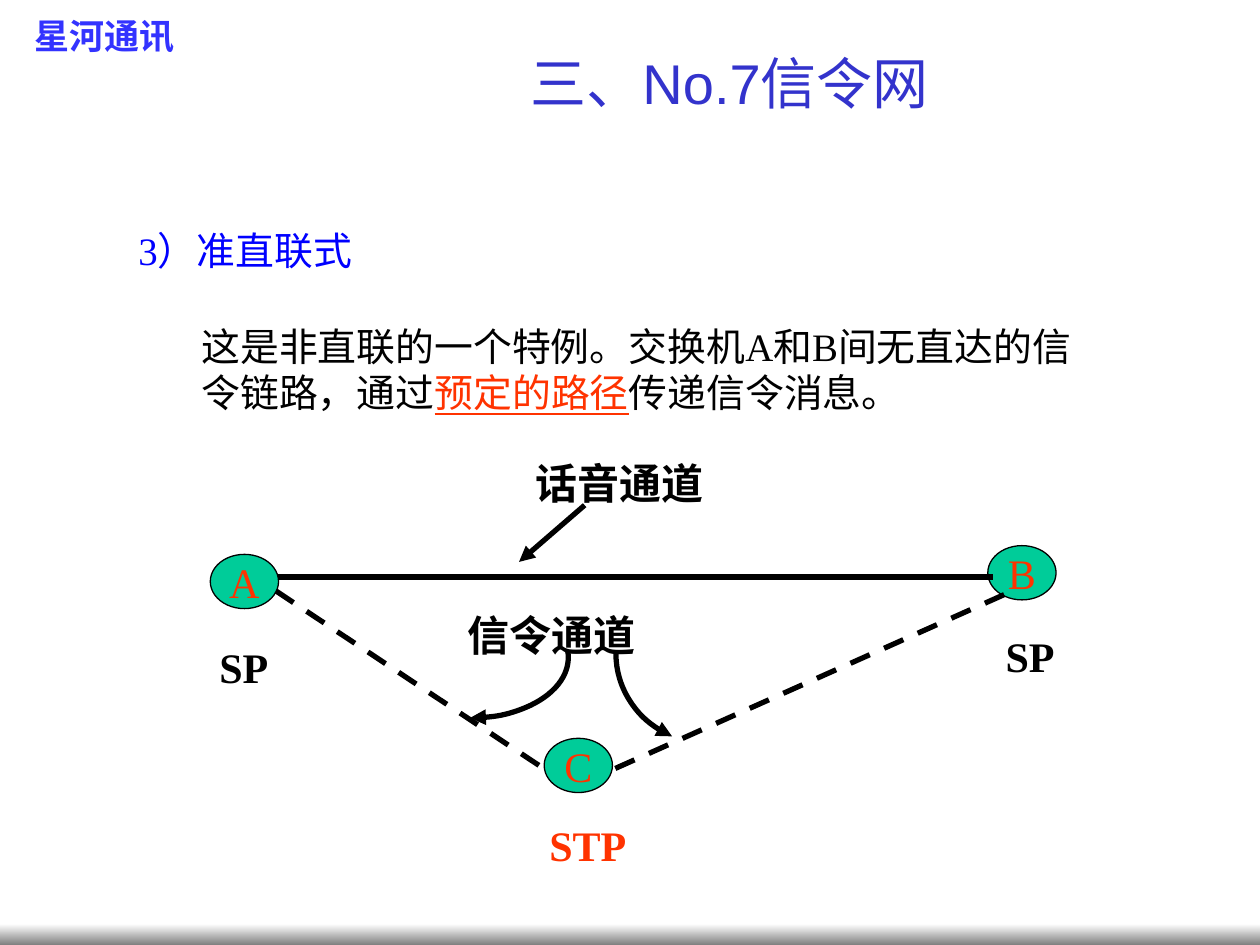
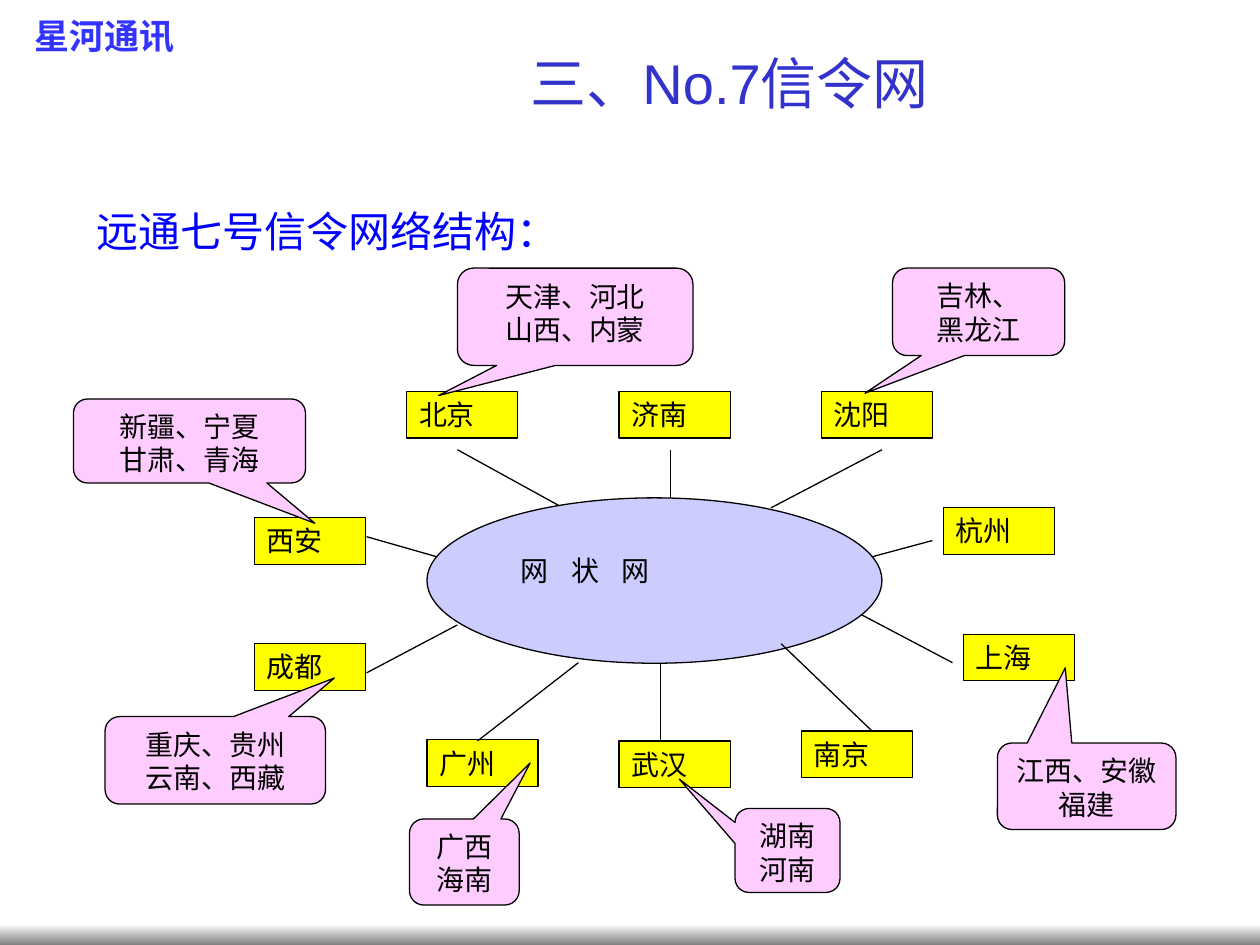
from dataclasses import dataclass

from lxml.etree import SubElement
from pptx import Presentation
from pptx.dml.color import RGBColor
from pptx.enum.dml import MSO_LINE
from pptx.enum.shapes import MSO_CONNECTOR, MSO_SHAPE
from pptx.enum.text import MSO_ANCHOR, PP_ALIGN
from pptx.oxml import parse_xml
from pptx.oxml.ns import nsdecls, qn
from pptx.util import Pt


@dataclass(frozen=True)
class Theme:
    serif: str = "Times New Roman"
    sans: str = "Arial"
    black: str = "000000"
    white: str = "FFFFFF"
    band_grey: str = "808080"
    brand_blue: str = "3333FF"
    title_blue: str = "3333CC"
    heading_blue: str = "0000FF"
    accent_red: str = "FF3300"
    node_green: str = "00CC99"
    mesh_blue: str = "CCCCFF"
    city_yellow: str = "FFFF00"
    region_pink: str = "FFCCFF"
    title_size: float = 32
    label_size: float = 24
    body_size: float = 22.2
    brand_size: float = 20
    small_size: float = 16
    thin: float = 0.75
    thick: float = 3


theme = Theme()


def add_box(slide, kind, place, lines=(), size=theme.small_size, color=theme.black,
            font=theme.sans, bold=False, align=PP_ALIGN.LEFT,
            anchor=MSO_ANCHOR.TOP, inset=(7.2, 3.6), fill=None):
    """Add a text box (kind None) or an outlined preset shape with its text."""
    place = [Pt(value) for value in place]
    if kind is None:
        shape = slide.shapes.add_textbox(*place)
    else:
        shape = slide.shapes.add_shape(kind, *place)
        shape.shadow.inherit = False
        if fill:
            shape.fill.solid()
            shape.fill.fore_color.rgb = RGBColor.from_string(fill)
        else:
            shape.fill.background()
        style_line(shape, theme.thin)
    frame = shape.text_frame
    frame.word_wrap = True
    frame.vertical_anchor = anchor
    frame.margin_left = frame.margin_right = Pt(inset[0])
    frame.margin_top = frame.margin_bottom = Pt(inset[1])
    frame.text = "\n".join(lines)
    for paragraph in frame.paragraphs:
        paragraph.alignment = align
        for run in paragraph.runs:
            run.font.size = Pt(size)
            run.font.name = font
            run.font.bold = bold
            run.font.color.rgb = RGBColor.from_string(color)
    return shape


def style_line(shape, width, arrow_end=None, dashed=False):
    """Black line without shadow; arrow_end is headEnd or tailEnd."""
    shape.line.color.rgb = RGBColor.from_string(theme.black)
    shape.line.width = Pt(width)
    if dashed:
        shape.line.dash_style = MSO_LINE.DASH
    properties = shape.element.spPr
    if arrow_end:
        SubElement(properties.find(qn("a:ln")), qn(f"a:{arrow_end}"), type="triangle")
    if properties.find(qn("a:effectLst")) is None:
        SubElement(properties, qn("a:effectLst"))


presentation = Presentation()
presentation.slide_width = Pt(720)
presentation.slide_height = Pt(540)

# Both slides: bottom band, company name and title
for _ in range(2):
    slide = presentation.slides.add_slide(presentation.slide_layouts[6])
    band = add_box(slide, MSO_SHAPE.RECTANGLE, (0, 528, 720, 12))
    band.line.fill.background()
    band.fill.gradient()
    band.fill.gradient_angle = 270
    for stop, color in zip(band.fill.gradient_stops, (theme.white, theme.band_grey)):
        stop.color.rgb = RGBColor.from_string(color)

    company = add_box(slide, None, (6, 5, 108, 32), ["星河通讯"], theme.brand_size,
                      theme.brand_blue, theme.serif, True, PP_ALIGN.CENTER)
    run = company.text_frame.paragraphs[0].runs[0]
    run.font.fill._xPr.find(qn("a:solidFill")).addnext(parse_xml(
        f'<a:effectLst {nsdecls("a")}><a:outerShdw dist="25400" dir="2700000">'
        '<a:srgbClr val="C0C0C0"/></a:outerShdw></a:effectLst>'))

    add_box(slide, None, (144, 24, 546, 46), ["三、No.7信令网"], theme.title_size,
            theme.title_blue, align=PP_ALIGN.CENTER, anchor=MSO_ANCHOR.MIDDLE)

quasi_slide, network_slide = presentation.slides

# Slide 1: description of the quasi-associated mode
description = add_box(quasi_slide, None, (36, 126, 624, 144), [
    "3）准直联式",
    "这是非直联的一个特例。交换机A和B间无直达的信",
    "令链路，通过",
], theme.body_size, font=theme.serif)
heading, first_line, second_line = description.text_frame.paragraphs
heading.runs[0].font.color.rgb = RGBColor.from_string(theme.heading_blue)
first_line.space_before = Pt(28)
for text, color, underline in (("预定的路径", theme.accent_red, True),
                               ("传递信令消息。", theme.black, False)):
    run = second_line.add_run()
    run.text = text
    run.font.size = Pt(theme.body_size)
    run.font.name = theme.serif
    run.font.underline = underline
    run.font.color.rgb = RGBColor.from_string(color)
for paragraph, margin, indent in ((heading, 58.5, -22.5), (first_line, 90, -18),
                                  (second_line, 90, -18)):
    properties = paragraph._p.get_or_add_pPr()
    properties.set("marL", str(Pt(margin)))
    properties.set("indent", str(Pt(indent)))

# Signalling points and their roles
for name, left, top in (("A", 120.2, 316.8), ("B", 564.5, 311.8), ("C", 311, 421.9)):
    node = add_box(quasi_slide, MSO_SHAPE.OVAL, (left, top, 39, 31), [name],
                   theme.label_size, theme.accent_red, theme.serif,
                   align=PP_ALIGN.CENTER, anchor=MSO_ANCHOR.MIDDLE, fill=theme.node_green)
    node.text_frame.word_wrap = False

for role, left, top, color in (("SP", 125.3, 354.2, theme.black),
                               ("SP", 574.6, 347.8, theme.black),
                               ("STP", 313.9, 455.8, theme.accent_red)):
    label = add_box(quasi_slide, None, (left, top, 60, 42), [role], theme.label_size,
                    color, theme.serif, True, inset=(0, 0))
    label.text_frame.paragraphs[0].line_spacing = 1.44

# Channel names
for name, left, top in (("话音通道", 298.8, 257.8), ("信令通道", 259.9, 344.9)):
    add_box(quasi_slide, None, (left, top, 192, 36), [name], theme.label_size,
            font=theme.serif, bold=True)

# Voice channel, signalling channels and the voice pointer
for ends, arrow_end, dashed in (((159, 329.8, 567.4, 329.8), None, False),
                                ((157.7, 337.7, 311.8, 439.9), None, True),
                                ((573.8, 339.8, 349.9, 439.9), None, True),
                                ((334.1, 288.7, 296.6, 321.1), "tailEnd", False)):
    channel = quasi_slide.shapes.add_connector(
        MSO_CONNECTOR.STRAIGHT, *[Pt(value) for value in ends])
    style_line(channel, theme.thick, arrow_end, dashed)

# Curved pointers to the signalling channels, with angles in degrees
for place, angles, arrow_end in (((213.8, 341.3, 111, 69), (356, 91), "tailEnd"),
                                 ((352, 321.8, 112, 104), (117, 181), "headEnd")):
    pointer = add_box(quasi_slide, MSO_SHAPE.ARC, place)
    for index, angle in enumerate(angles):
        pointer.adjustments[index] = angle * 0.6
    style_line(pointer, theme.thick, arrow_end)

# Slide 2: heading and central mesh
add_box(network_slide, None, (48, 114, 445, 36), ["远通七号信令网络结构："],
        theme.label_size, theme.heading_blue)
add_box(network_slide, MSO_SHAPE.OVAL, (244, 284.5, 260, 94.5), fill=theme.mesh_blue)
mesh_label = add_box(network_slide, None, (290.2, 312.5, 168, 27), ["网 状 网"])
mesh_label.text_frame.paragraphs[0].runs[0].font._element.set("spc", "480")

# Cities: name, left, top, spoke to the mesh
cities = (
    ("北京", 232.4, 223.8, (261.4, 257, 319, 288.7)),
    ("济南", 353.8, 223.8, (383, 257, 383, 284.4)),
    ("沈阳", 469.4, 223.8, (504, 257, 440.6, 290.2)),
    ("西安", 145.4, 295.9, (209.5, 306.7, 249.8, 318.2)),
    ("杭州", 539.2, 290.2, (498.2, 318.2, 532.8, 308.9)),
    ("成都", 145.4, 367.9, (209.5, 384.5, 261.4, 357.1)),
    ("上海", 550.6, 362.4, (492.5, 351.4, 544.3, 378.7)),
    ("广州", 244, 422.8, (272.9, 423.4, 330.5, 378.7)),
    ("武汉", 353.8, 423.5, (377.3, 378.7, 377.3, 423.4)),
    ("南京", 457.9, 417.8, (446.4, 367.9, 498.2, 417.6)),
)
for name, left, top, spoke_ends in cities:
    add_box(network_slide, MSO_SHAPE.RECTANGLE, (left, top, 63.5, 26.6), [name],
            fill=theme.city_yellow)
    spoke = network_slide.shapes.add_connector(
        MSO_CONNECTOR.STRAIGHT, *[Pt(value) for value in spoke_ends])
    style_line(spoke, theme.thin)

# Regions served: place, lines, callout tip relative to the centre
regions = (
    ((261.4, 153.2, 134.6, 55.6), ("天津、河北", "山西、内蒙"), (-0.58, 0.81)),
    ((510, 153.2, 98.4, 50), ("吉林、", "黑龙江"), (-0.66, 0.93)),
    ((42, 228, 132.6, 48), ("新疆、宁夏", "甘肃、青海"), (0.54, 0.98)),
    ((60, 409.5, 126, 50), ("重庆、贵州", "云南、西藏"), (0.54, -0.94)),
    ((234, 468, 62.7, 49.2), ("广西", "海南"), (0.6, -1.15)),
    ((420, 462, 60, 48), ("湖南", "河南"), (-1.03, -0.85)),
    ((570, 424.6, 102, 49.4), ("江西、安徽", "福建"), (-0.12, -1.37)),
)
for place, lines, tip in regions:
    callout = add_box(network_slide, MSO_SHAPE.ROUNDED_RECTANGULAR_CALLOUT, place, lines,
                      align=PP_ALIGN.CENTER, fill=theme.region_pink)
    callout.adjustments[0], callout.adjustments[1] = tip

presentation.save("out.pptx")
